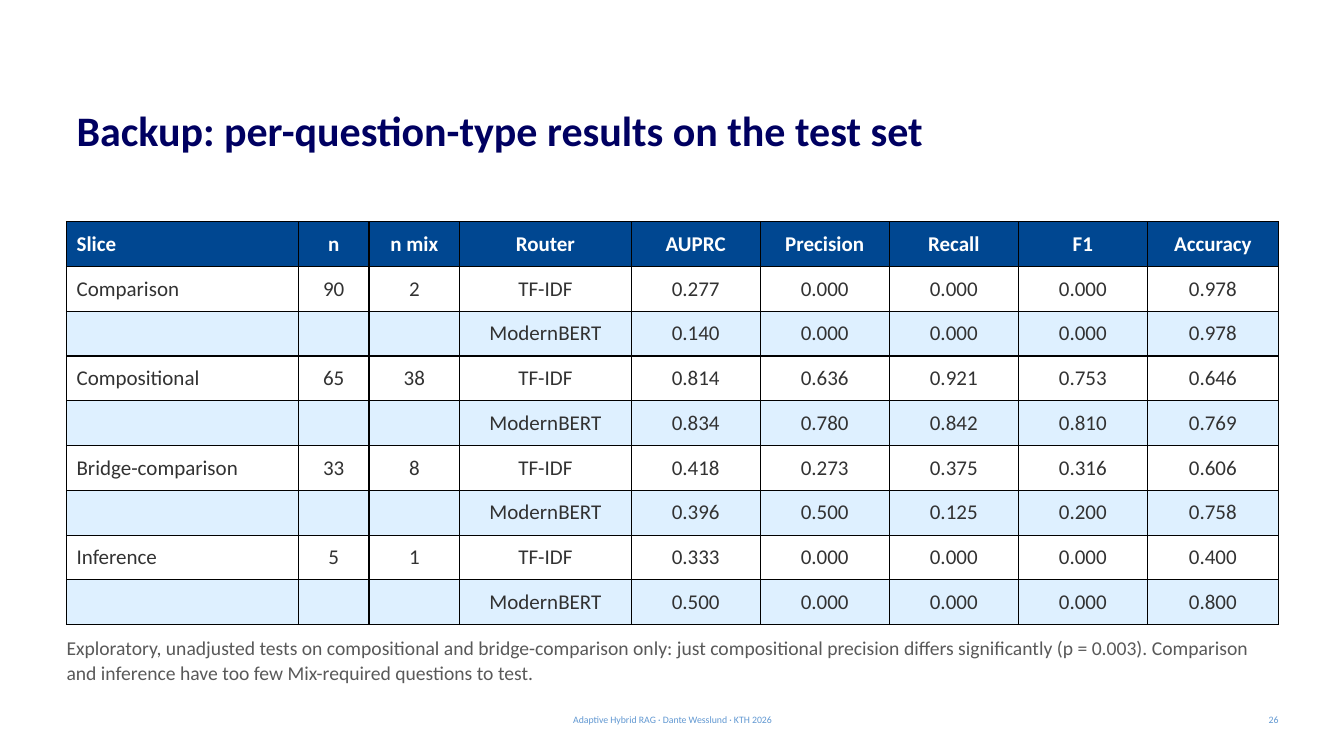
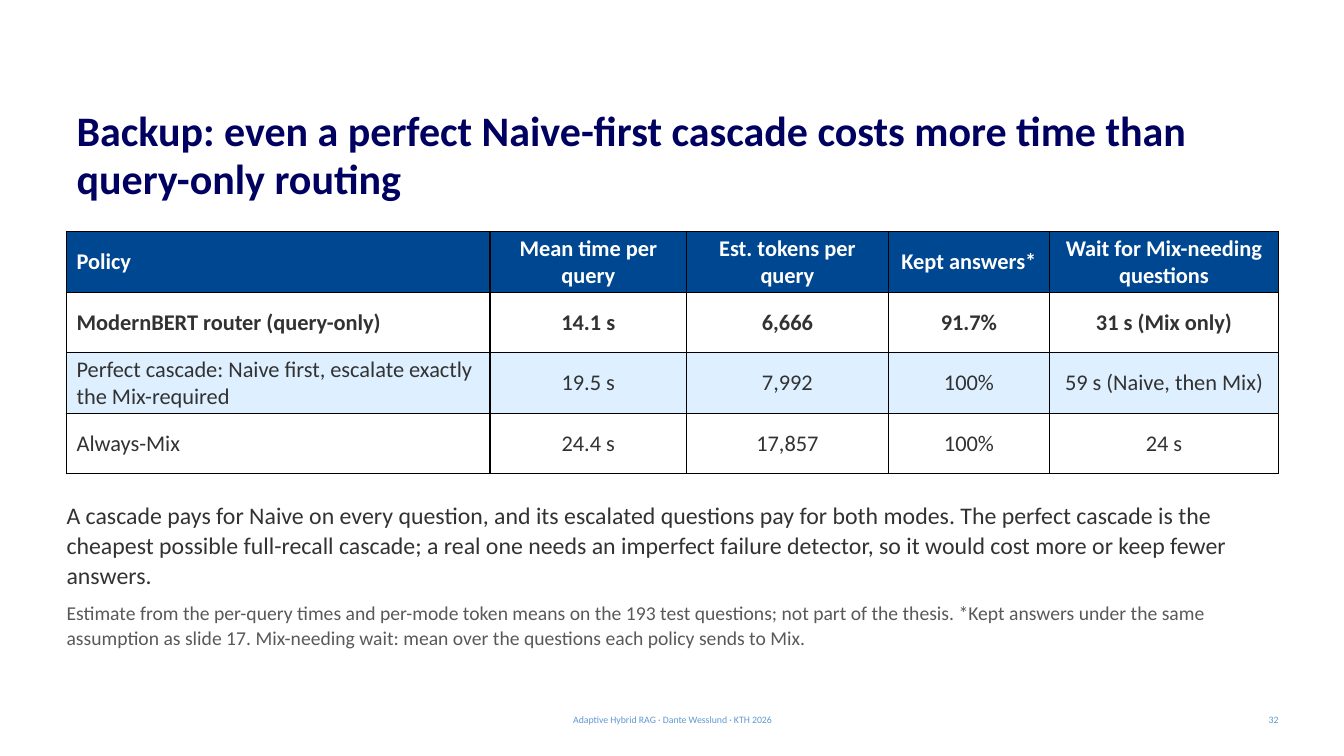
import pptx
import pptx.util
import pptx.dml.color
import pptx.enum.text
import pptx.oxml

Inches, Pt = pptx.util.Inches, pptx.util.Pt
RGBColor = pptx.dml.color.RGBColor
PP_ALIGN = pptx.enum.text.PP_ALIGN
MSO_ANCHOR = pptx.enum.text.MSO_ANCHOR

NAVY = RGBColor(0x00, 0x00, 0x61)
BLUE = RGBColor(0x00, 0x47, 0x91)
SKY = RGBColor(0x61, 0x98, 0xD2)
PALE = RGBColor(0xDE, 0xF0, 0xFF)
WHITE = RGBColor(0xFF, 0xFF, 0xFF)
INK = RGBColor(0x32, 0x32, 0x32)
GREY = RGBColor(0x59, 0x59, 0x59)
FONT = "Calibri"
LEFT, WIDTH = 0.66, 12.02
FOOTER = "Adaptive Hybrid RAG · Dante Wesslund · KTH 2026"
BORDER = (
    '<a:{0} xmlns:a="http://schemas.openxmlformats.org/drawingml/2006/main" w="12700">'
    '<a:solidFill><a:srgbClr val="000000"/></a:solidFill></a:{0}>'
)

SLIDES = [
    {
        "title": "Backup: per-question-type results on the test set",
        "number": 26,
        "top": 2.2,
        "height": 4.0,
        "size": 15,
        "columns": [2.3, 0.7, 0.9, 1.7, 1.28, 1.28, 1.28, 1.28, 1.3],
        "bold_rows": {0},
        "rows": [
            ["Slice", "n", "n mix", "Router", "AUPRC", "Precision", "Recall", "F1", "Accuracy"],
            ["Comparison", "90", "2", "TF-IDF", "0.277", "0.000", "0.000", "0.000", "0.978"],
            ["", "", "", "ModernBERT", "0.140", "0.000", "0.000", "0.000", "0.978"],
            ["Compositional", "65", "38", "TF-IDF", "0.814", "0.636", "0.921", "0.753", "0.646"],
            ["", "", "", "ModernBERT", "0.834", "0.780", "0.842", "0.810", "0.769"],
            ["Bridge-comparison", "33", "8", "TF-IDF", "0.418", "0.273", "0.375", "0.316", "0.606"],
            ["", "", "", "ModernBERT", "0.396", "0.500", "0.125", "0.200", "0.758"],
            ["Inference", "5", "1", "TF-IDF", "0.333", "0.000", "0.000", "0.000", "0.400"],
            ["", "", "", "ModernBERT", "0.500", "0.000", "0.000", "0.000", "0.800"],
        ],
        "notes_box": (6.3, 0.6),
        "notes": [
            ("Exploratory, unadjusted tests on compositional and bridge-comparison only: just "
             "compositional precision differs significantly (p = 0.003). Comparison and "
             "inference have too few Mix-required questions to test.", 14, GREY, 6),
        ],
    },
    {
        "title": "Backup: even a perfect Naive-first cascade costs more time than query-only routing",
        "number": 32,
        "top": 2.3,
        "height": 2.4,
        "size": 16,
        "columns": [4.2, 1.95, 2, 1.6, 2.27],
        "bold_rows": {0, 1},
        "rows": [
            ["Policy", "Mean time per query", "Est. tokens per query", "Kept answers*",
             "Wait for Mix-needing questions"],
            ["ModernBERT router (query-only)", "14.1 s", "6,666", "91.7%", "31 s (Mix only)"],
            ["Perfect cascade: Naive first, escalate exactly the Mix-required", "19.5 s", "7,992",
             "100%", "59 s (Naive, then Mix)"],
            ["Always-Mix", "24.4 s", "17,857", "100%", "24 s"],
        ],
        "notes_box": (4.95, 1.8),
        "notes": [
            ("A cascade pays for Naive on every question, and its escalated questions pay for both "
             "modes. The perfect cascade is the cheapest possible full-recall cascade; a real one "
             "needs an imperfect failure detector, so it would cost more or keep fewer answers.",
             17, INK, 8),
            ("Estimate from the per-query times and per-mode token means on the 193 test questions; "
             "not part of the thesis. *Kept answers under the same assumption as slide 17. "
             "Mix-needing wait: mean over the questions each policy sends to Mix.", 14, GREY, 6),
        ],
    },
]


def style(p, size, color, bold=False, align=PP_ALIGN.LEFT):
    p.alignment = align
    p.font.name = FONT
    p.font.size = Pt(size)
    p.font.bold = bold
    p.font.color.rgb = color


def set_margins(part, left, top, right, bottom):
    part.margin_left, part.margin_right = Inches(left), Inches(right)
    part.margin_top, part.margin_bottom = Inches(top), Inches(bottom)


def add_title(slide, text):
    sp = slide.shapes.title
    sp.left, sp.top, sp.width, sp.height = map(Inches, (LEFT, 0.95, WIDTH, 1.05))
    tf = sp.text_frame
    tf.text = text
    tf.word_wrap = True
    tf.auto_size = pptx.enum.text.MSO_AUTO_SIZE.NONE
    tf.vertical_anchor = MSO_ANCHOR.TOP
    set_margins(tf, 0.1, 0.12, 0.1, 0.05)
    p = tf.paragraphs[0]
    p.line_spacing = 0.95
    style(p, 30, NAVY, True)


def add_box(slide, left, top, width, height):
    tf = slide.shapes.add_textbox(*map(Inches, (left, top, width, height))).text_frame
    tf.word_wrap = True
    set_margins(tf, 0, 0, 0, 0)
    return tf


def add_footer(slide, number):
    for text, left, width, align in (
        (FOOTER, 4.42, 4.5, PP_ALIGN.CENTER),
        (str(number), LEFT + WIDTH - 3, 3, PP_ALIGN.RIGHT),
    ):
        tf = add_box(slide, left, 7.08, width, 0.11)
        tf.vertical_anchor = MSO_ANCHOR.MIDDLE
        tf.text = text
        style(tf.paragraphs[0], 7, SKY, align=align)


def format_cell(cell, text, size, fill, color, bold, align):
    cell.text = text
    cell.vertical_anchor = MSO_ANCHOR.MIDDLE
    set_margins(cell, 0.1, 0.03, 0.1, 0.03)
    style(cell.text_frame.paragraphs[0], size, color, bold, align)
    tc_pr = cell._tc.get_or_add_tcPr()
    for side in ("lnL", "lnR", "lnT", "lnB"):
        tc_pr.append(pptx.oxml.parse_xml(BORDER.format(side)))
    cell.fill.solid()
    cell.fill.fore_color.rgb = fill


def add_results(slide, data):
    rows, columns = data["rows"], data["columns"]
    frame = slide.shapes.add_table(
        len(rows), len(columns), *map(Inches, (LEFT, data["top"], WIDTH, data["height"])))
    table = frame.table
    for column, width in zip(table.columns, columns):
        column.width = Inches(width)
    for i, row in enumerate(rows):
        table.rows[i].height = Inches(data["height"] / len(rows))
        fill = BLUE if i == 0 else WHITE if i % 2 else PALE
        color = WHITE if i == 0 else INK
        for j, text in enumerate(row):
            align = PP_ALIGN.CENTER if j else PP_ALIGN.LEFT
            format_cell(table.cell(i, j), text, data["size"], fill, color,
                        i in data["bold_rows"], align)


def add_notes(slide, data):
    top, height = data["notes_box"]
    tf = add_box(slide, LEFT, top, WIDTH, height)
    for i, (text, size, color, after) in enumerate(data["notes"]):
        p = tf.add_paragraph() if i else tf.paragraphs[0]
        p.text = text
        p.line_spacing = 1.05
        p.space_after = Pt(after)
        style(p, size, color)


def main():
    prs = pptx.Presentation()
    prs.slide_width, prs.slide_height = Inches(13.33), Inches(7.5)
    for data in SLIDES:
        slide = prs.slides.add_slide(prs.slide_layouts[5])
        add_title(slide, data["title"])
        add_footer(slide, data["number"])
        add_results(slide, data)
        add_notes(slide, data)
    prs.save("out.pptx")


if __name__ == "__main__":
    main()
